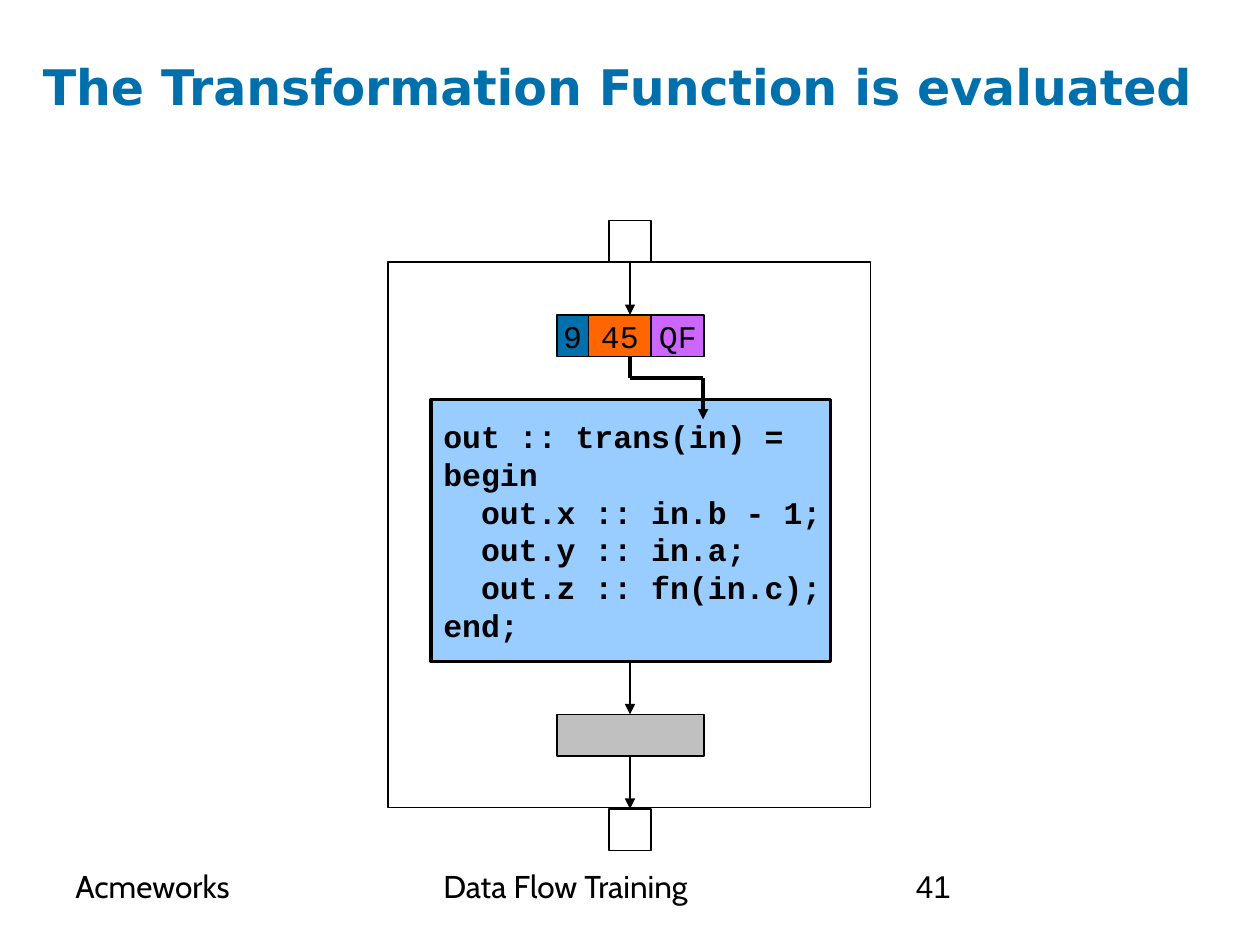
"""Build the slide on evaluating a transformation function."""
from dataclasses import dataclass
from typing import Optional

from lxml import etree
from pptx import Presentation
from pptx import util as u
from pptx.dml.color import RGBColor
from pptx.enum import shapes, text
from pptx.oxml.ns import qn

BLACK, BLUE = "000000", "0070AD"
CENTER_X, PORT, ROW = 5, 0.33, 0.33


@dataclass(frozen=True)
class TextStyle:
    font: str
    size: int = 18
    color: str = BLACK
    bold: bool = False
    align: text.PP_ALIGN = text.PP_ALIGN.LEFT


@dataclass(frozen=True)
class Label:
    words: str
    left: float
    top: float
    width: float
    height: float
    style: TextStyle
    margin_x: float = 0.1
    margin_y: float = 0.05


@dataclass(frozen=True)
class Box:
    left: float
    top: float
    width: float
    height: float
    fill: Optional[str] = None
    weight: float = 1
    words: str = ""
    style: Optional[TextStyle] = None
    opacity: int = 100


@dataclass(frozen=True)
class Wire:
    x1: float
    y1: float
    x2: float
    y2: float
    weight: float = 1
    arrow: bool = True


CODE = TextStyle("Courier New", bold=True)
FIELD = TextStyle("Courier New", align=text.PP_ALIGN.CENTER)
FOOTER = TextStyle("Cabin")
FUNCTION = """out :: trans(in) =
begin
  out.x :: in.b - 1;
  out.y :: in.a;
  out.z :: fn(in.c);
end;"""

LABELS = [
    Label("The Transformation Function is evaluated", 0.34, 0.45, 9.33, 0.94,
          TextStyle("DejaVu Sans", 28, BLUE, True), 0, 0),
    Label("Acmeworks", 0.5, 6.83, 2.33, 0.52, FOOTER),
    Label("Data Flow Training", 3.42, 6.83, 3.17, 0.52, FOOTER),
    Label("41", 7.17, 6.83, 2.33, 0.52, TextStyle("Arial")),
]
BOXES = [
    Box(CENTER_X - PORT / 2, 1.75, PORT, PORT),
    Box(3.08, 2.08, 3.83, 4.33, "FFFFFF", opacity=50),
    Box(4.67, 2.5, 0.5, ROW, "FF6600", words="45", style=FIELD),
    Box(5.17, 2.5, 0.42, ROW, "CC66FF", words="QF", style=FIELD),
    Box(4.42, 2.5, 0.25, ROW, BLUE, words="9", style=FIELD),
    Box(CENTER_X - PORT / 2, 6.42, PORT, PORT),
    Box(3.42, 3.17, 3.17, 2.08, "99CCFF", 2, FUNCTION, CODE),
    Box(4.42, 5.67, 1.17, ROW, "C0C0C0"),
]
WIRES = [
    Wire(CENTER_X, 2.08, CENTER_X, 2.5),
    Wire(CENTER_X, 5.25, CENTER_X, 5.67),
    Wire(CENTER_X, 6, CENTER_X, 6.42),
    Wire(5.58, 3, 5.58, 3.33, 2),
    Wire(CENTER_X, 2.83, CENTER_X, 3, 2, False),
    Wire(CENTER_X, 3, 5.58, 3, 2, False),
]


def rgb(value: str) -> RGBColor:
    """Turn a hex string into a colour."""
    return RGBColor.from_string(value)


def set_values(target, values: dict) -> None:
    """Set each named attribute on the target."""
    for name, value in values.items():
        setattr(target, name, value)


def write(frame, words: str, style: TextStyle) -> None:
    """Write one paragraph for each line of words."""
    for index, line in enumerate(words.split("\n")):
        para = frame.add_paragraph() if index else frame.paragraphs[0]
        para.alignment = style.align
        span = para.add_run()
        span.text = line
        set_values(span.font, {"name": style.font, "size": u.Pt(style.size), "bold": style.bold})
        span.font.color.rgb = rgb(style.color)


def draw_label(page, label: Label) -> None:
    """Add a wrapped text box."""
    box = page.shapes.add_textbox(*map(u.Inches, (label.left, label.top, label.width, label.height)))
    across, down = u.Inches(label.margin_x), u.Inches(label.margin_y)
    set_values(box.text_frame, {
        "word_wrap": True, "vertical_anchor": text.MSO_ANCHOR.TOP,
        "margin_left": across, "margin_right": across,
        "margin_top": down, "margin_bottom": down,
    })
    write(box.text_frame, label.words, label.style)


def draw_box(page, box: Box) -> None:
    """Add an outlined rectangle with optional fill and text."""
    shape = page.shapes.add_shape(
        shapes.MSO_SHAPE.RECTANGLE, *map(u.Inches, (box.left, box.top, box.width, box.height)))
    shape.shadow.inherit = False
    shape.line.color.rgb = rgb(BLACK)
    shape.line.width = u.Pt(box.weight)
    if box.fill:
        shape.fill.solid()
        shape.fill.fore_color.rgb = rgb(box.fill)
    else:
        shape.fill.background()
    if box.opacity < 100:
        color = shape.element.spPr.find(qn("a:solidFill")).find(qn("a:srgbClr"))
        etree.SubElement(color, qn("a:alpha"), val=str(box.opacity * 1000))
    if box.style:
        set_values(shape.text_frame, {
            "word_wrap": False, "vertical_anchor": text.MSO_ANCHOR.MIDDLE})
        write(shape.text_frame, box.words, box.style)


def draw_wire(page, wire: Wire) -> None:
    """Add a straight line, with an arrowhead if wanted."""
    line = page.shapes.add_connector(
        shapes.MSO_CONNECTOR.STRAIGHT, *map(u.Inches, (wire.x1, wire.y1, wire.x2, wire.y2)))
    line.line.color.rgb = rgb(BLACK)
    line.line.width = u.Pt(wire.weight)
    if wire.arrow:
        etree.SubElement(line.line._get_or_add_ln(), qn("a:tailEnd"), type="triangle")
    etree.SubElement(line.element.spPr, qn("a:effectLst"))


def main() -> None:
    """Draw the slide and save it."""
    deck = Presentation()
    set_values(deck, {"slide_width": u.Inches(10), "slide_height": u.Inches(7.5)})
    page = deck.slides.add_slide(deck.slide_layouts[6])
    for draw, items in ((draw_label, LABELS), (draw_box, BOXES), (draw_wire, WIRES)):
        for item in items:
            draw(page, item)
    deck.save("out.pptx")


if __name__ == "__main__":
    main()
